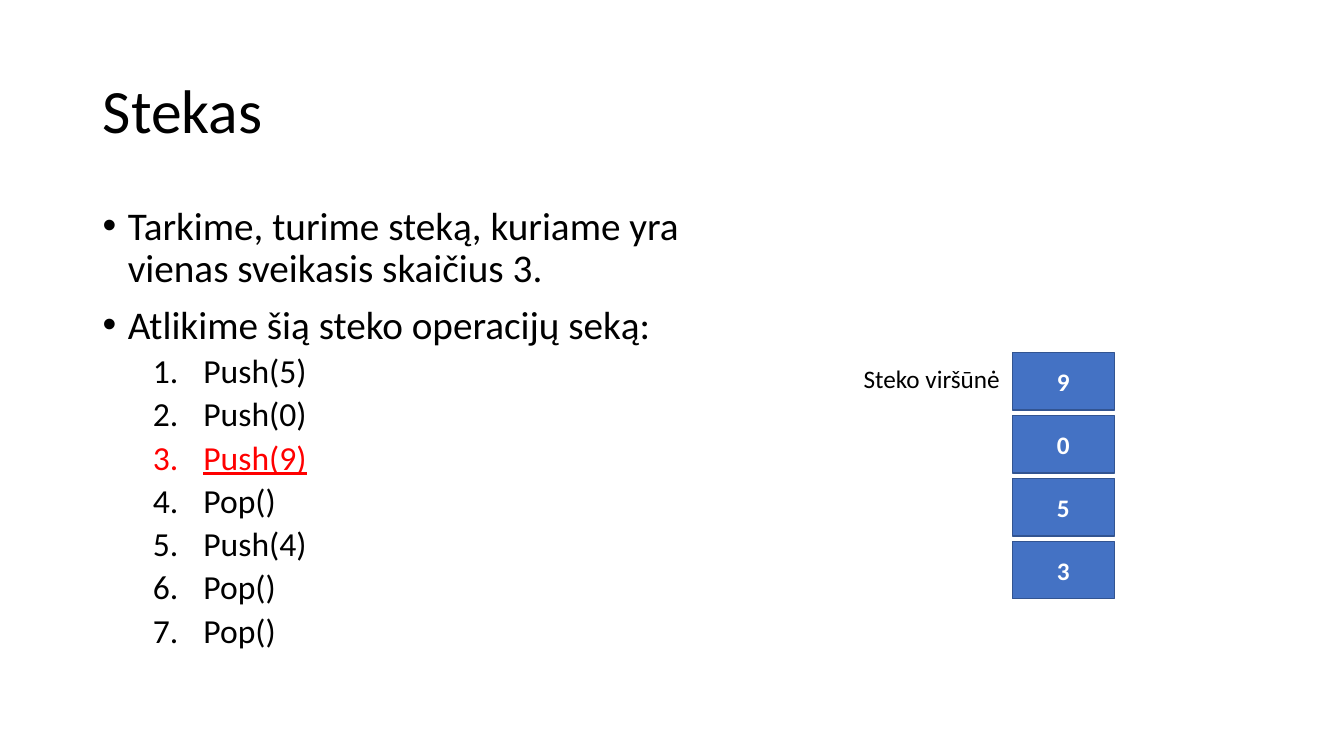
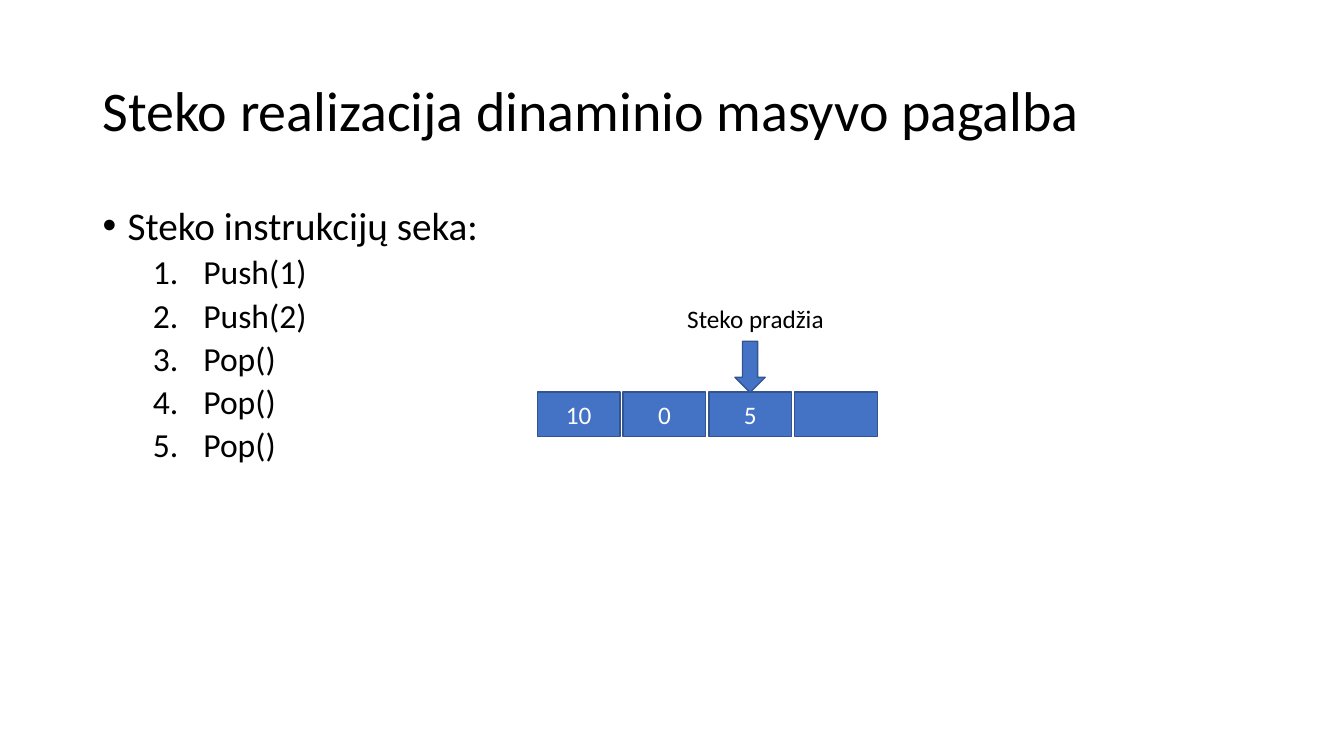
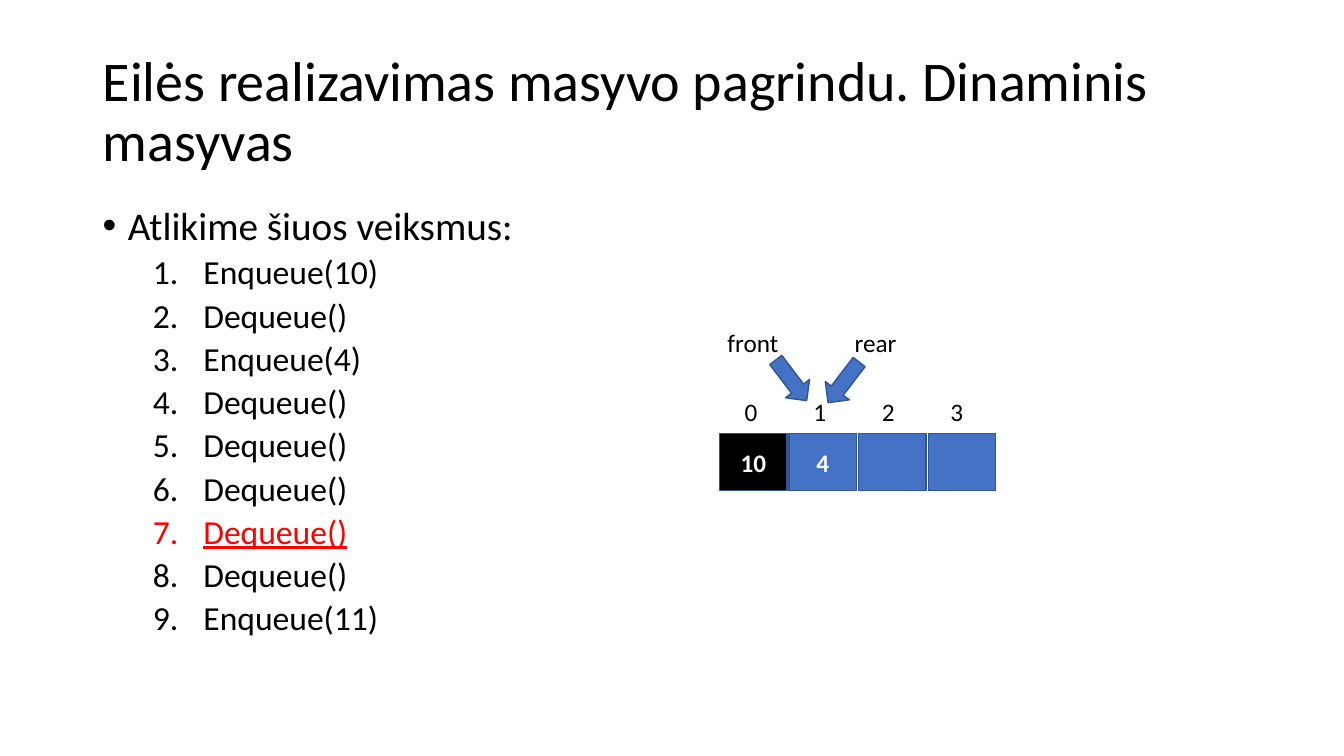
from lxml.etree import SubElement
from pptx import Presentation
from pptx.dml.color import RGBColor
from pptx.enum.shapes import MSO_SHAPE as Shape
from pptx.enum.text import MSO_ANCHOR as Anchor, MSO_AUTO_SIZE as AutoSize, PP_ALIGN as Align
from pptx.oxml.ns import qn
from pptx.util import Pt

BLACK = RGBColor(0x00, 0x00, 0x00)
WHITE = RGBColor(0xFF, 0xFF, 0xFF)
RED = RGBColor(0xFF, 0x00, 0x00)
BLUE = RGBColor(0x44, 0x72, 0xC4)
OUTLINE = RGBColor(0x32, 0x54, 0x91)

FONT = "Calibri"
LEFT = 66.2
SMALL = {"size": Pt(18)}
INTRO = {"size": Pt(28)}
STEP = {"size": Pt(24)}
ARROW_W, ARROW_H = 21.6, 36.5


def box(*lengths):
    return [Pt(v) for v in lengths]


def add_run(p, text, color=BLACK, **formats):
    r = p.add_run()
    r.text = text
    r.font.color.rgb = color
    for name, value in {"name": FONT, **formats}.items():
        setattr(r.font, name, value)


def add_title_slide(prs, title, size):
    s = prs.slides.add_slide(prs.slide_layouts[5])
    sp = s.shapes.title
    sp.left, sp.top, sp.width, sp.height = box(LEFT, 28.8, 828, 104.4)
    tf = sp.text_frame
    for name, value in {"word_wrap": True, "auto_size": AutoSize.NONE,
                        "vertical_anchor": Anchor.MIDDLE}.items():
        setattr(tf, name, value)
    p = tf.paragraphs[0]
    p.alignment, p.line_spacing = Align.LEFT, 0.9
    add_run(p, title, size=Pt(size))
    return s


def add_text_box(s, *lengths):
    tf = s.shapes.add_textbox(*box(*lengths)).text_frame
    tf.word_wrap = True
    return tf


def add_bullet(p, margin, indent, color, tag, **attributes):
    pPr = p._p.get_or_add_pPr()
    pPr.set("marL", str(Pt(margin)))
    pPr.set("indent", str(Pt(indent)))
    SubElement(SubElement(pPr, qn("a:buClr")), qn("a:srgbClr"), val=str(color))
    SubElement(pPr, qn("a:buFont"), typeface="Arial" if tag == "a:buChar" else FONT)
    SubElement(pPr, qn(tag), **attributes)


def add_list(s, width, height, intros, steps, current=None):
    """Bulleted intro lines, then numbered steps; the current step is red."""
    tf = add_text_box(s, LEFT, 144, width, height)
    for i, text in enumerate(intros):
        p = tf.add_paragraph() if i else tf.paragraphs[0]
        p.line_spacing, p.space_before = 0.9, Pt(10 if i else 0)
        add_bullet(p, 18, -18, BLACK, "a:buChar", char="•")
        add_run(p, text, **INTRO)
    for number, text in enumerate(steps, 1):
        active = number == current
        color = RED if active else BLACK
        p = tf.add_paragraph()
        p.level, p.line_spacing, p.space_before = 1, 0.9, Pt(5)
        add_bullet(p, 72, -36, color, "a:buAutoNum", type="arabicPeriod")
        add_run(p, text, color, underline=active, **STEP)


def add_blue_shape(s, kind, *lengths, fill=BLUE):
    sp = s.shapes.add_shape(kind, *box(*lengths))
    sp.shadow.inherit = False
    sp.fill.solid()
    sp.fill.fore_color.rgb = fill
    sp.line.color.rgb = OUTLINE
    sp.line.width = Pt(1)
    return sp


def add_cells(s, values, left, top, width, height, dx=0, dy=0, bold=True, used=()):
    """Array cells stepped by dx and dy; cells listed in used are black."""
    for i, value in enumerate(values):
        sp = add_blue_shape(s, Shape.RECTANGLE, left + i * dx, top + i * dy, width, height,
                            fill=BLACK if i in used else BLUE)
        if value:
            tf = sp.text_frame
            tf.vertical_anchor = Anchor.MIDDLE
            p = tf.paragraphs[0]
            p.alignment = Align.CENTER
            add_run(p, value, WHITE, bold=bold, **SMALL)


def add_label(s, text, left, top, width, align=Align.LEFT):
    p = add_text_box(s, left, top, width, 29).paragraphs[0]
    p.alignment = align
    add_run(p, text, **SMALL)


def add_arrow(s, left, top, rotation=0):
    add_blue_shape(s, Shape.DOWN_ARROW, left, top, ARROW_W, ARROW_H).rotation = rotation


def stack_slide(prs):
    s = add_title_slide(prs, "Stekas", 44)
    add_list(s, 495.4, 351,
             ["Tarkime, turime steką, kuriame yra vienas sveikasis skaičius 3.",
              "Atlikime šią steko operacijų seką:"],
             ["Push(5)", "Push(0)", "Push(9)", "Pop()", "Push(4)", "Pop()", "Pop()"],
             current=3)
    add_cells(s, ["9", "0", "5", "3"], 723, 252, 73, 41, dy=44.9)
    add_label(s, "Steko viršūnė", 609.8, 255.6, 121)


def stack_array_slide(prs):
    s = add_title_slide(prs, "Steko realizacija dinaminio masyvo pagalba", 40)
    add_list(s, 285, 283.7, ["Steko instrukcijų seka:"],
             ["Push(1)", "Push(2)", "Pop()", "Pop()", "Pop()"])
    add_cells(s, ["10", "0", "5", ""], 383.8, 280.1, 59, 31.7, dx=61.3, bold=False)
    add_arrow(s, 525, 243.8)
    add_label(s, "Steko pradžia", 483.8, 213.1, 113.2)


def queue_array_slide(prs):
    s = add_title_slide(prs, "Eilės realizavimas masyvo pagrindu. Dinaminis masyvas", 40)
    add_list(s, 414, 352.8, ["Atlikime šiuos veiksmus:"],
             ["Enqueue(10)", "Dequeue()", "Enqueue(4)", *["Dequeue()"] * 5, "Enqueue(11)"],
             current=7)
    add_cells(s, ["10", "4", "", ""], 514, 309.6, 48.2, 41, dx=49.7, used=[0])
    for i in range(4):
        add_label(s, str(i), 512.4 + 49 * i, 279.8, 48.2, Align.CENTER)
    pointers = [("front", 512.6, 554.4, 253.4, 322.8), ("rear", 603.4, 591.8, 254.9, 37.4)]
    for name, label_left, arrow_left, arrow_top, rotation in pointers:
        add_arrow(s, arrow_left, arrow_top, rotation)
        add_label(s, name, label_left, 230.4, 52)


def main():
    prs = Presentation()
    prs.slide_width, prs.slide_height = box(960, 540)
    stack_slide(prs)
    stack_array_slide(prs)
    queue_array_slide(prs)
    prs.save("out.pptx")


if __name__ == "__main__":
    main()
